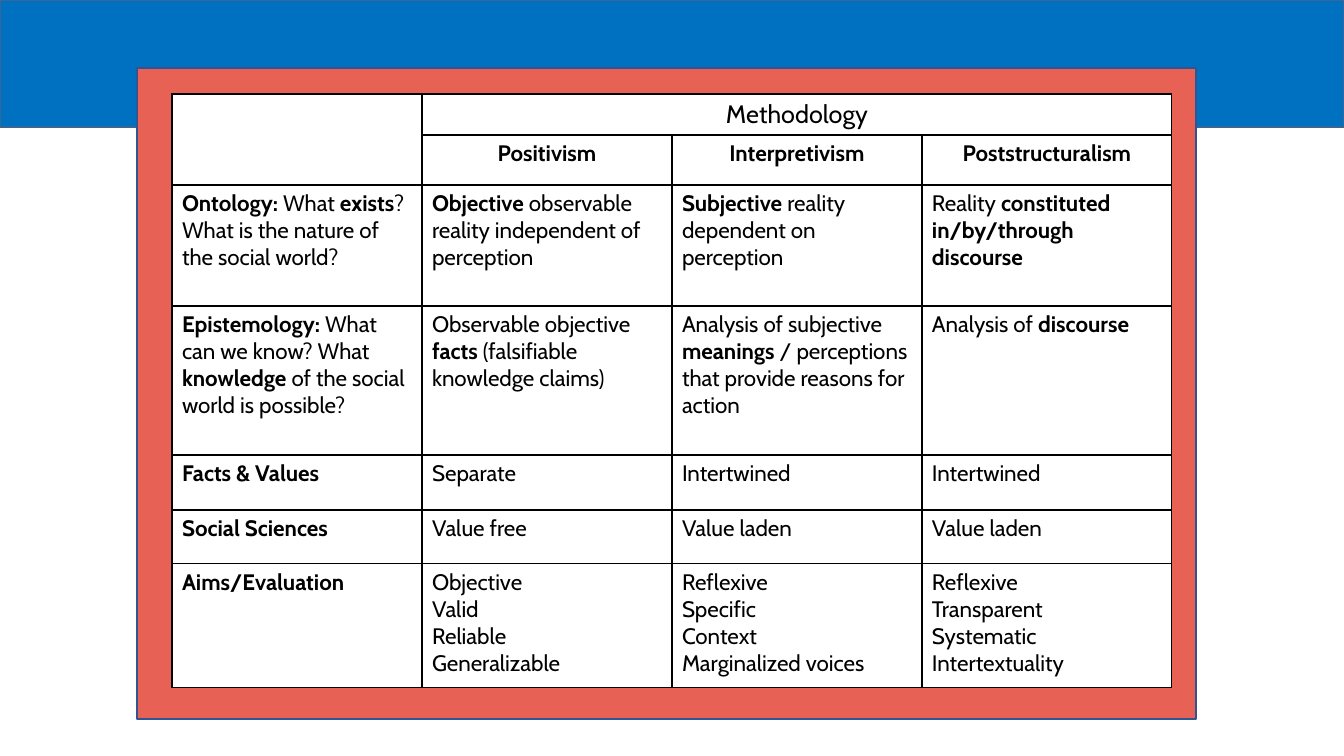
from dataclasses import dataclass

from lxml.etree import SubElement
from pptx import Presentation
from pptx.dml.color import RGBColor
from pptx.enum.shapes import MSO_SHAPE as Preset
from pptx.enum.text import PP_ALIGN as Align
from pptx.oxml.ns import qn
from pptx.util import Pt

HEADING = "Methodology"
APPROACHES = ["", "**Positivism**", "**Interpretivism**", "**Poststructuralism**"]
COMPARISON = [
    ["**Ontology: **What **exists**? What is the nature of the social world?",
     "**Objective** observable reality independent of perception",
     "**Subjective** reality dependent on perception",
     "Reality **constituted in/by/through discourse**"],
    ["**Epistemology: **What can we know? What **knowledge** of the social world is possible?",
     "Observable objective **facts **(falsifiable knowledge claims)",
     "Analysis of subjective **meanings** / perceptions that provide reasons for action",
     "Analysis of **discourse**"],
    ["**Facts & Values**", "Separate", "Intertwined", "Intertwined"],
    ["**Social Sciences**", "Value free", "Value laden", "Value laden"],
    ["**Aims/Evaluation**",
     "Objective\nValid\nReliable\nGeneralizable",
     "Reflexive\nSpecific\nContext\nMarginalized voices",
     "Reflexive\nTransparent\nSystematic\nIntertextuality"],
]

SLIDE = (1344, 756)
BAND = (0, 0, 1344, 127)
FRAME = (137, 68, 1059, 651)
GRID_ORIGIN = (172, 94)
COLUMN_WIDTH = 250
ROW_HEIGHTS = [41, 50, 121, 149, 55, 54, 124]
EMU_PER_PX = 12192000 / SLIDE[0]


@dataclass(frozen=True)
class Theme:
    font: str = "Cabin"
    heading_size: int = 18
    body_size: int = 16
    rule: int = 1
    ink: str = "000000"
    paper: str = "FFFFFF"
    band: str = "0070C0"
    band_edge: str = "376795"
    frame: str = "E76254"
    frame_edge: str = "325491"


THEME = Theme()


def px(length):
    return round(length * EMU_PER_PX)


def paint(fill, color):
    fill.solid()
    fill.fore_color.rgb = RGBColor.from_string(color)


def add_panel(slide, box, color, edge):
    panel = slide.shapes.add_shape(Preset.RECTANGLE, *map(px, box))
    panel.shadow.inherit = False
    paint(panel.fill, color)
    paint(panel.line.fill, edge)
    panel.line.width = Pt(THEME.rule)


def write(cell, marked, size, align):
    cell.text_frame.text = marked.replace("**", "")
    for paragraph, line in zip(cell.text_frame.paragraphs, marked.split("\n")):
        paragraph.alignment = align
        paragraph.font.size = Pt(size)
        paragraph.text = ""
        for index, piece in enumerate(line.split("**")):
            if piece:
                run = paragraph.add_run()
                run.text = piece
                run.font.name = THEME.font
                run.font.size = Pt(size)
                run.font.bold = index % 2 == 1
                run.font.color.rgb = RGBColor.from_string(THEME.ink)


def outline(cell):
    properties = cell._tc.get_or_add_tcPr()
    for side in ("a:lnL", "a:lnR", "a:lnT", "a:lnB"):
        border = SubElement(properties, qn(side), w=str(Pt(THEME.rule)))
        ink = SubElement(border, qn("a:solidFill"))
        SubElement(ink, qn("a:srgbClr"), val=THEME.ink)


def add_comparison(slide):
    rows = [["", HEADING, "", ""], APPROACHES, *COMPARISON]
    columns = len(APPROACHES)
    size = (COLUMN_WIDTH * columns, sum(ROW_HEIGHTS))
    grid = slide.shapes.add_table(len(rows), columns, *map(px, GRID_ORIGIN + size)).table
    grid.first_row = False
    grid.horz_banding = False
    for column in grid.columns:
        column.width = px(COLUMN_WIDTH)
    for row, height in zip(grid.rows, ROW_HEIGHTS):
        row.height = px(height)
    for r, entries in enumerate(rows):
        for c, entry in enumerate(entries):
            cell = grid.cell(r, c)
            outline(cell)
            paint(cell.fill, THEME.paper)
            write(cell, entry,
                  THEME.heading_size if r == 0 else THEME.body_size,
                  Align.CENTER if r < 2 else Align.LEFT)
    grid.cell(0, 0).merge(grid.cell(1, 0))
    grid.cell(0, 1).merge(grid.cell(0, columns - 1))


def main():
    deck = Presentation()
    deck.slide_width, deck.slide_height = map(px, SLIDE)
    slide = deck.slides.add_slide(deck.slide_layouts[6])
    add_panel(slide, BAND, THEME.band, THEME.band_edge)
    add_panel(slide, FRAME, THEME.frame, THEME.frame_edge)
    add_comparison(slide)
    deck.save("out.pptx")


if __name__ == "__main__":
    main()
